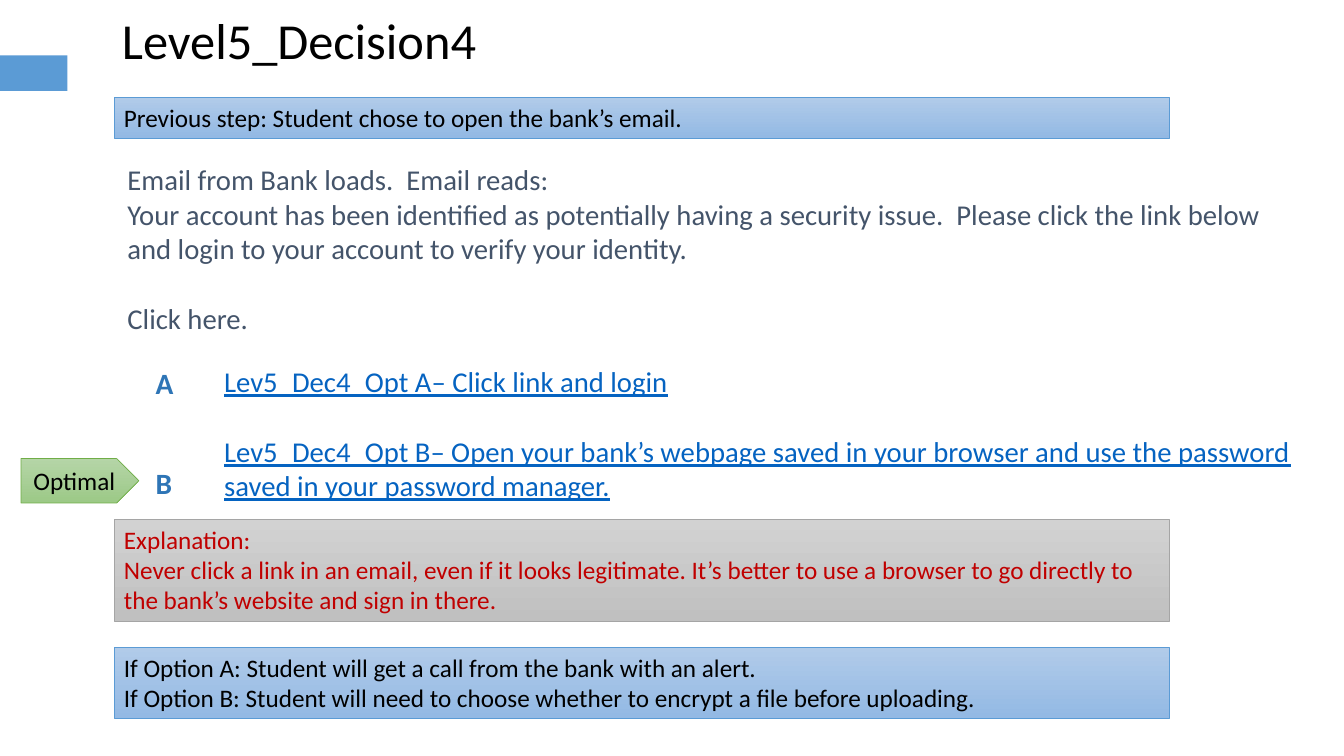
from pptx import Presentation
from pptx.util import Pt
from pptx.dml.color import RGBColor
from pptx.enum.shapes import MSO_SHAPE as SHAPE
from pptx.enum.text import MSO_ANCHOR as ANCHOR, PP_ALIGN as ALIGN

THEME = {
    "font": "Calibri",
    "title": 36, "label": 21, "body": 20.5, "note": 18,
    "black": "000000", "slate": "44546A", "link": "0563C1",
    "letter": "2E75B6", "red": "C00000", "accent": "5B9BD5",
    "blue": ("B1CBE9", "93B9E4", "5B9BD5"),
    "green": ("B5D5A7", "9CC987", "70AD47"),
    "gray": ("D2D2D2", "C0C0C0", "A5A5A5"),
}
BAR_LEFT, BAR_WIDTH = 81.4, 753.8
LINE_GAP = 25


def write(sp, lines, size, color, inset=(7.2, 3.6), gaps=(), bold=None, underline=None):
    tf = sp.text_frame
    tf.word_wrap = True
    tf.vertical_anchor = ANCHOR.TOP
    tf.margin_left = tf.margin_right = Pt(inset[0])
    tf.margin_top = tf.margin_bottom = Pt(inset[1])
    for i, line in enumerate(lines):
        p = tf.paragraphs[0] if i == 0 else tf.add_paragraph()
        p.text = line
        p.alignment = ALIGN.LEFT
        if i in gaps:
            p.space_before = Pt(LINE_GAP)
        p.font.name = THEME["font"]
        p.font.size = Pt(THEME[size])
        p.font.color.rgb = RGBColor.from_string(THEME[color])
        p.font.bold = bold
        p.font.underline = underline
    return tf


def add_panel(kind, left, top, width, height, palette):
    sp = s.shapes.add_shape(kind, Pt(left), Pt(top), Pt(width), Pt(height))
    sp.shadow.inherit = False
    start, end, edge = THEME[palette]
    sp.fill.gradient()
    sp.fill.gradient_angle = 270
    for stop, color in zip(sp.fill.gradient_stops, (start, end)):
        stop.color.rgb = RGBColor.from_string(color)
    sp.line.color.rgb = RGBColor.from_string(edge)
    sp.line.width = Pt(0.5)
    return sp


prs = Presentation()
prs.slide_width, prs.slide_height = Pt(960), Pt(540)
s = prs.slides.add_slide(prs.slide_layouts[6])

tab = s.shapes.add_shape(SHAPE.RECTANGLE, Pt(0), Pt(39.6), Pt(48.2), Pt(25.4))
tab.shadow.inherit = False
tab.fill.solid()
tab.fill.fore_color.rgb = RGBColor.from_string(THEME["accent"])
tab.line.fill.background()

title = s.shapes.add_textbox(Pt(80), Pt(3), Pt(364), Pt(72.6))
write(title, ["Level5_Decision4"], "title", "black")

email = s.shapes.add_textbox(Pt(BAR_LEFT), Pt(111), Pt(859), Pt(176.4))
write(email, [
    "Email from Bank loads.  Email reads:",
    "Your account has been identified as potentially having a security issue.  "
    "Please click the link below and login to your account to verify your identity.",
    "Click here.",
], "body", "slate", inset=(9.6, 4.8), gaps=[2])

options = s.shapes.add_textbox(Pt(150.5), Pt(255.4), Pt(800), Pt(111))
write(options, [
    "Lev5_Dec4_Opt A– Click link and login",
    "Lev5_Dec4_Opt B– Open your bank’s webpage saved in your browser "
    "and use the password saved in your password manager.",
], "body", "link", inset=(9.6, 4.8), gaps=[1], underline=True)

for letter, top in [("A", 256.3), ("B", 327.4)]:
    label = s.shapes.add_textbox(Pt(101.5), Pt(top), Pt(49), Pt(36))
    write(label, [letter], "label", "letter", inset=(9.6, 4.8), bold=True)

bars = [
    (69.4, 29.1, "blue", "black", [
        "Previous step: Student chose to open the bank’s email.",
    ]),
    (370.8, 72.7, "gray", "red", [
        "Explanation:",
        "Never click a link in an email, even if it looks legitimate. It’s better to use "
        "a browser to go directly to the bank’s website and sign in there.",
    ]),
    (462.2, 50.9, "blue", "black", [
        "If Option A: Student will get a call from the bank with an alert.",
        "If Option B: Student will need to choose whether to encrypt a file before uploading.",
    ]),
]
for top, height, palette, color, lines in bars:
    bar = add_panel(SHAPE.RECTANGLE, BAR_LEFT, top, BAR_WIDTH, height, palette)
    write(bar, lines, "note", color)

optimal = add_panel(SHAPE.PENTAGON, 15, 327.6, 84.2, 31.7, "green")
tf = write(optimal, ["Optimal"], "note", "black")
tf.vertical_anchor = ANCHOR.MIDDLE
tf.paragraphs[0].alignment = ALIGN.CENTER

prs.save("out.pptx")
